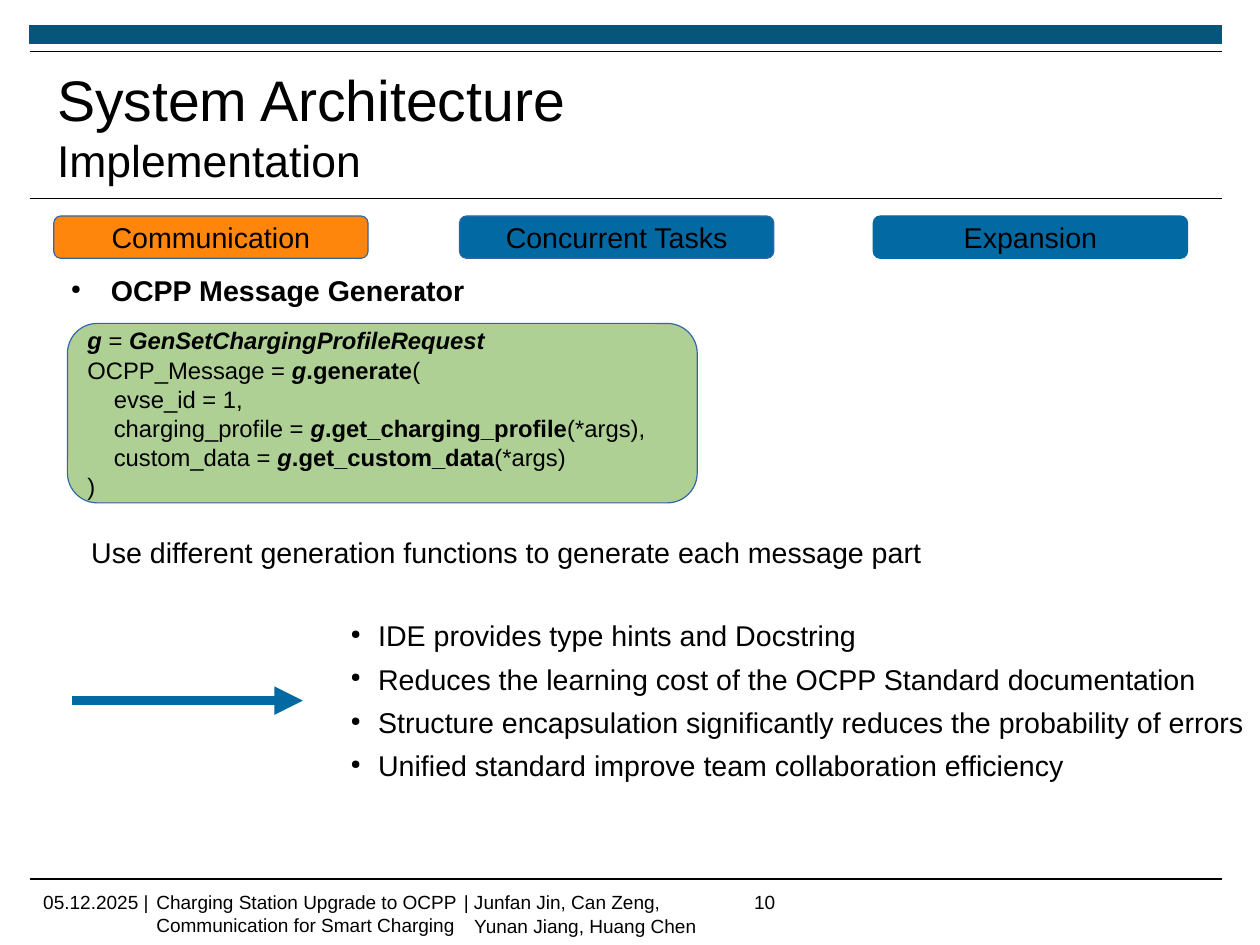
import pptx
import pptx.util
import pptx.dml.color
import pptx.enum.shapes
import pptx.enum.text
from lxml import etree

PX = 9144  # 100 px to the inch
NAMESPACE = "http://schemas.openxmlformats.org/drawingml/2006/main"
BLUE, BLACK = "0369A3", "000000"
Pt = pptx.util.Pt
SHAPES = pptx.enum.shapes.MSO_SHAPE
MIDDLE = pptx.enum.text.MSO_ANCHOR.MIDDLE


def color(hex_string):
    return pptx.dml.color.RGBColor.from_string(hex_string)


def write(shape, lines, size, indent=0, spacing=0):
    """Fill a shape with paragraphs of (text, style) runs, style using b and i; an indent adds bullets."""
    frame = shape.text_frame
    frame.word_wrap = True
    for index, line in enumerate(lines):
        paragraph = frame.add_paragraph() if index else frame.paragraphs[0]
        if indent:
            properties = paragraph._p.get_or_add_pPr()
            properties.set("marL", str(indent * PX))
            properties.set("indent", str(-min(indent, 35) * PX))
            for tag, name, value in (("buSzPct", "val", "45000"), ("buChar", "char", "●")):
                etree.SubElement(properties, f"{{{NAMESPACE}}}{tag}").set(name, value)
        paragraph.alignment = pptx.enum.text.PP_ALIGN.LEFT
        paragraph.space_before = Pt(spacing if index else 0)
        paragraph.font.size = Pt(size)
        paragraph.font.name = "Arial"
        paragraph.font.color.rgb = color(BLACK)
        for text, style in line:
            run = paragraph.add_run()
            run.text = text
            if "b" in style:
                run.font.bold = True
            if "i" in style:
                run.font.italic = True
    return frame


presentation = pptx.Presentation()
presentation.slide_width = pptx.util.Mm(280)
presentation.slide_height = pptx.util.Mm(210)
slide = presentation.slides.add_slide(presentation.slide_layouts[5])
shapes = slide.shapes

# Frame of the page: top bar and rules, then the arrow
top_bar = shapes.add_shape(SHAPES.RECTANGLE, 26 * PX, 22 * PX, 1043 * PX, 16 * PX)
top_bar.shadow.inherit = False
top_bar.fill.solid()
top_bar.fill.fore_color.rgb = color("075578")
top_bar.line.color.rgb = color("075578")
top_bar.line.width = Pt(0.75)

for left, right, y, line_color, width in (
    (26, 1069, 45, BLACK, 0.71),
    (26, 1069, 174, BLACK, 0.71),
    (26, 1069, 769, BLACK, 0.71),
    (63, 265, 613, BLUE, 6),
):
    connector = shapes.add_connector(
        pptx.enum.shapes.MSO_CONNECTOR.STRAIGHT, left * PX, y * PX, right * PX, y * PX)
    connector.line.color.rgb = color(line_color)
    connector.line.width = Pt(width)
    if line_color == BLUE:
        line_properties = connector.line._get_or_add_ln()
        etree.SubElement(line_properties, f"{{{NAMESPACE}}}tailEnd").set("type", "triangle")
    etree.SubElement(connector._element.spPr, f"{{{NAMESPACE}}}effectLst")

# Title
title = shapes.title
title.left, title.top, title.width, title.height = 50 * PX, 54 * PX, 905 * PX, 112 * PX
title_frame = write(title, [[("System Architecture", "")], [("Implementation", "")]], 36)
title_frame.paragraphs[1].font.size = Pt(28)
title_frame.vertical_anchor = MIDDLE
title_frame.auto_size = pptx.enum.text.MSO_AUTO_SIZE.NONE
title_frame.margin_left = title_frame.margin_right = 0
title_frame.margin_top = title_frame.margin_bottom = 0

# Topic buttons and the code panel
code = [
    [("g ", "bi"), ("= ", ""), ("GenSetChargingProfileRequest", "bi")],
    [("OCPP_Message = ", ""), ("g", "bi"), (".generate", "b"), ("(", "")],
    [("    evse_id = 1,", "")],
    [("    charging_profile = ", ""), ("g", "bi"), (".get_charging_profile", "b"), ("(*args),", "")],
    [("    custom_data = ", ""), ("g", "bi"), (".get_custom_data", "b"), ("(*args)", "")],
    [(")", "")],
]
for left, top, width, height, fill, outline, lines, size in (
    (47, 189, 275, 37, "FF860D", "3465A4", [[("Communication", "")]], 18),
    (402, 189, 275, 37, BLUE, "3465A4", [[("Concurrent Tasks", "")]], 18),
    (764, 189, 275, 37, BLUE, BLUE, [[("Expansion", "")]], 18),
    (59, 283, 551, 157, "AFD095", "3465A4", code, 15),
):
    panel = shapes.add_shape(SHAPES.ROUNDED_RECTANGLE, left * PX, top * PX, width * PX, height * PX)
    panel.shadow.inherit = False
    panel.fill.solid()
    panel.fill.fore_color.rgb = color(fill)
    panel.line.color.rgb = color(outline)
    panel.line.width = Pt(0)
    panel_frame = write(panel, lines, size, spacing=0.3)
    panel_frame.vertical_anchor = MIDDLE
    if lines is not code:
        panel_frame.paragraphs[0].alignment = pptx.enum.text.PP_ALIGN.CENTER

# Body text
heading = shapes.add_textbox(50 * PX, 239 * PX, 422 * PX, 68 * PX)
heading_frame = write(heading, [[("OCPP Message Generator", "b")]], 18, indent=47)
heading_frame.margin_left = heading_frame.margin_top = 0

statement = shapes.add_textbox(70 * PX, 463 * PX, 746 * PX, 38 * PX)
statement_text = "Use different generation functions to generate each message part"
write(statement, [[(statement_text, "")]], 18).margin_right = 0

benefits = (
    "IDE provides type hints and Docstring",
    "Reduces the learning cost of the OCPP Standard documentation",
    "Structure encapsulation significantly reduces the probability of errors",
    "Unified standard improve team collaboration efficiency",
)
benefit_list = shapes.add_textbox(297 * PX, 536 * PX, 800 * PX, 146 * PX)
benefit_lines = [[(benefit, "")] for benefit in benefits]
write(benefit_list, benefit_lines, 18, indent=24, spacing=5.7).margin_right = 0

# Footer
for left, width, lines in (
    (28, 118, ["05.12.2025 |"]),
    (127, 396, ["Charging Station Upgrade to OCPP Communication for Smart Charging"]),
    (396, 230, ["| Junfan Jin, Can Zeng,", "Yunan Jiang, Huang Chen"]),
    (650, 76, ["10"]),
):
    footer = shapes.add_textbox(left * PX, 774 * PX, width * PX, 47 * PX)
    footer_frame = write(footer, [[(line, "")] for line in lines], 12, spacing=0.6)
    for paragraph in footer_frame.paragraphs[1:]:
        paragraph._p.get_or_add_pPr().set("marL", str(9 * PX))

presentation.save("out.pptx")
